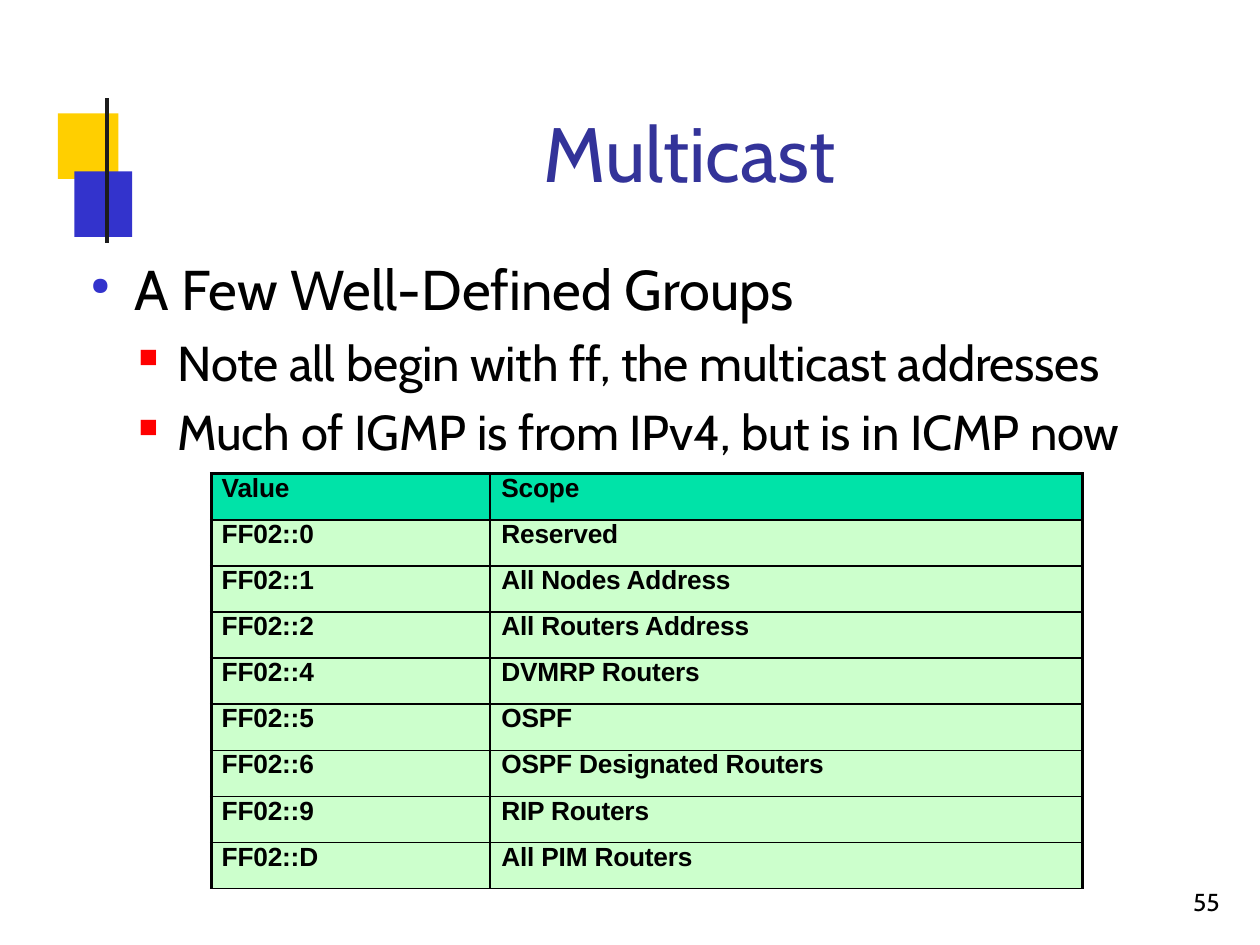
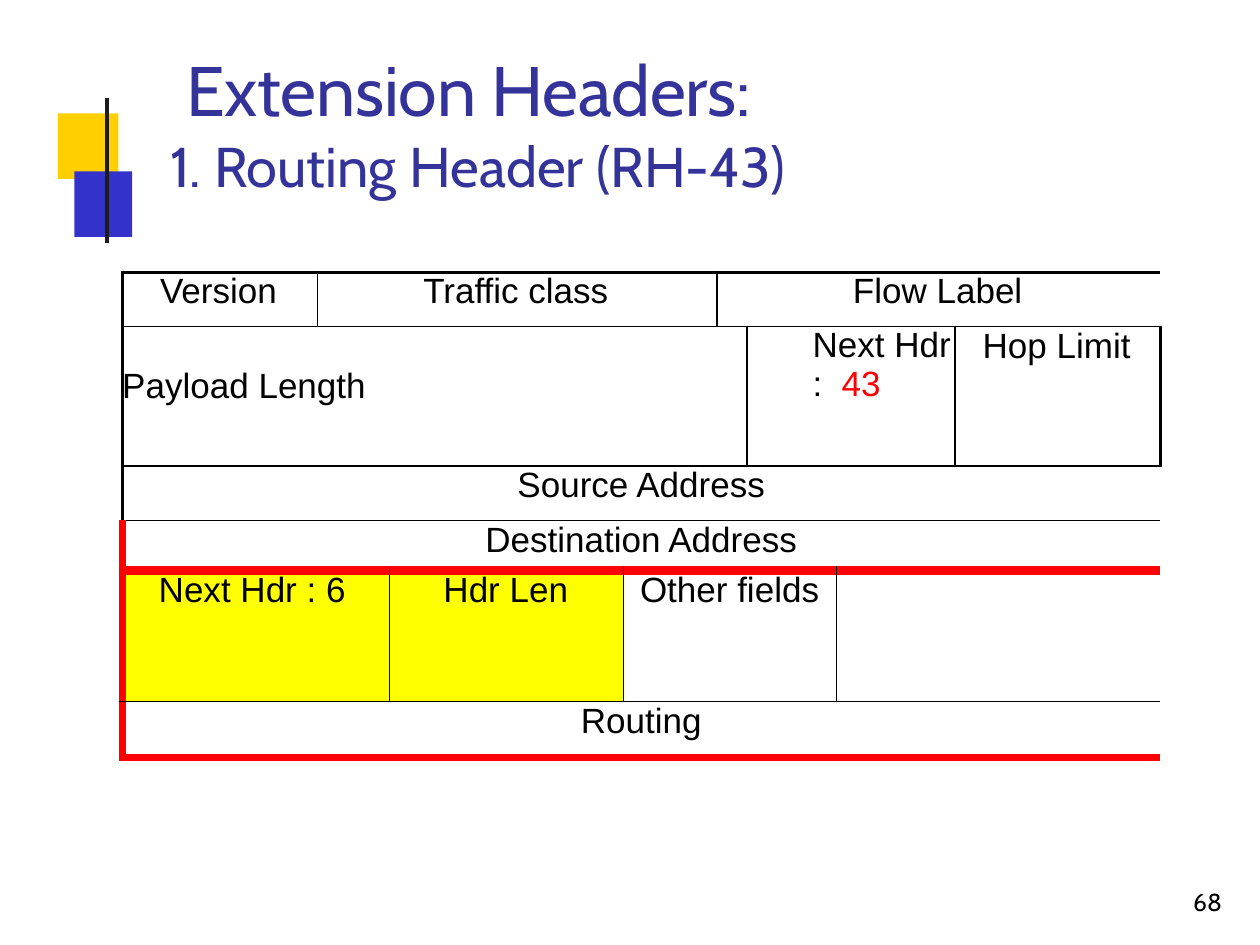
import dataclasses

import pptx
import pptx.dml.color
import pptx.enum.shapes
import pptx.enum.text
import pptx.oxml
import pptx.oxml.ns
import pptx.util

ALIGN = pptx.enum.text.PP_ALIGN


@dataclasses.dataclass(frozen=True)
class Theme:
    """Colours, fonts and type sizes of the deck."""
    yellow: str = "FFCF00"
    blue: str = "3333CC"
    title: str = "333399"
    bar: str = "1C1C1C"
    ink: str = "000000"
    red: str = "FF0000"
    header: str = "00E3A8"
    mint: str = "CCFFCC"
    highlight: str = "FFFF00"
    display_font: str = "Cabin"
    table_font: str = "Arial"
    title_size: int = 44
    long_title_size: int = 40
    heading_size: int = 32
    point_size: int = 28
    field_size: int = 20
    group_size: int = 15
    number_size: int = 14


THEME = Theme()
THIN = (THEME.ink, 1)
FRAME = (THEME.ink, 2.25)
PACKET = (THEME.ink, 2)
ROUTE = (THEME.red, 4.56)
ROUTE_TOP = (THEME.red, 6.02)


@dataclasses.dataclass
class Field:
    """One table field: its text, columns covered, insets in grid columns and format."""
    text: str = ""
    span: int = 1
    left: float = 0
    top: float = 0
    fill: str = None
    bottom_edge: bool = True
    align: object = ALIGN.LEFT


@dataclasses.dataclass
class Row:
    """One table row: its height in grid rows, its fields and its outer edges."""
    height: float
    fields: list
    side: tuple = THIN
    top: tuple = THIN
    bottom: tuple = THIN


def rgb(code):
    """Return the colour of a hex code."""
    return pptx.dml.color.RGBColor.from_string(code)


def add_xml(parent, markup):
    """Append one drawing element given as markup."""
    head, mark, tail = markup.partition(" " if " " in markup.split(">")[0] else ">")
    if mark == ">" and head.endswith("/"):
        head, mark = head[:-1], "/>"
    namespace = pptx.oxml.ns.nsdecls("a")
    parent.append(pptx.oxml.parse_xml(f"{head} {namespace}{mark}{tail}"))


def write(para, text, size, font=THEME.display_font, color=THEME.ink, bold=False,
          spacing=0, align=None, leading=None, before=None, margin=0, hanging=0,
          bullet=None):
    """Append text to a paragraph in the given format."""
    if align is not None:
        para.alignment = align
    if leading:
        para.line_spacing = pptx.util.Pt(leading)
    if before:
        para.space_before = pptx.util.Pt(before)
    if margin:
        settings = para._p.get_or_add_pPr()
        settings.set("marL", str(pptx.util.Inches(margin)))
        settings.set("indent", str(-pptx.util.Inches(hanging)))
    if bullet:
        sign, tint, percent = bullet
        add_xml(settings, f'<a:buClr><a:srgbClr val="{tint}"/></a:buClr>')
        add_xml(settings, f'<a:buSzPct val="{percent * 1000}"/>')
        add_xml(settings, f'<a:buChar char="{sign}"/>')
    span = para.add_run()
    span.text = text
    span.font.size = pptx.util.Pt(size)
    span.font.name = font
    span.font.bold = bold
    span.font.color.rgb = rgb(color)
    if spacing:
        span._r.get_or_add_rPr().set("spc", str(round(spacing * 100)))


def set_edges(cell, edges):
    """Draw the left, right, top and bottom edges of a cell."""
    settings = cell._tc.get_or_add_tcPr()
    for side, edge in zip("LRTB", edges):
        if edge:
            color, weight = edge
            width = pptx.util.Pt(weight)
            paint = f'<a:solidFill><a:srgbClr val="{color}"/></a:solidFill>'
        else:
            width, paint = 0, "<a:noFill/>"
        add_xml(settings, f'<a:ln{side} w="{width}">{paint}</a:ln{side}>')


class Page:
    """Builds slides on a grid of 100 columns and 75 rows."""

    def __init__(self, deck, theme):
        """Hold the deck and its theme."""
        self.deck, self.theme, self.slide = deck, theme, None

    def col(self, count):
        """Turn grid columns into a length."""
        return round(self.deck.slide_width * count / 100)

    def row(self, count):
        """Turn grid rows into a length."""
        return round(self.deck.slide_height * count / 75)

    def place(self, left, top, width, height):
        """Turn a grid area into lengths."""
        return self.col(left), self.row(top), self.col(width), self.row(height)

    def start(self, number):
        """Add a slide with the shared mark and its number."""
        self.slide = self.deck.slides.add_slide(self.deck.slide_layouts[6])
        self.square(self.theme.yellow, 4.6, 9, 4.8, 5.2)
        self.square(self.theme.blue, 5.9, 13.6, 4.6, 5.2)
        self.line(8.5, 7.8, 8.5, 19.3)
        write(self.text_box(92.4, 70.6, 4.7, 2.3).paragraphs[0], str(number),
              self.theme.number_size, leading=15.5, margin=0.23)

    def square(self, color, *area):
        """Add a plain filled rectangle."""
        kind = pptx.enum.shapes.MSO_SHAPE.RECTANGLE
        box = self.slide.shapes.add_shape(kind, *self.place(*area))
        box.shadow.inherit = False
        box.fill.solid()
        box.fill.fore_color.rgb = rgb(color)
        box.line.fill.background()

    def line(self, *ends):
        """Add a straight line."""
        kind = pptx.enum.shapes.MSO_CONNECTOR.STRAIGHT
        line = self.slide.shapes.add_connector(kind, *self.place(*ends))
        line.line.color.rgb = rgb(self.theme.bar)
        line.line.width = pptx.util.Pt(2.52)
        add_xml(line._element.spPr, "<a:effectLst/>")

    def text_box(self, *area):
        """Add a text box without insets and return its text frame."""
        frame = self.slide.shapes.add_textbox(*self.place(*area)).text_frame
        frame.word_wrap = True
        frame.margin_left = frame.margin_right = 0
        frame.margin_top = frame.margin_bottom = 0
        return frame

    def title(self, text, size, *area, **style):
        """Add a title line."""
        para = self.text_box(*area).paragraphs[0]
        write(para, text, size, color=self.theme.title, **style)

    def points(self, heading, details, *area):
        """Add a bulleted heading with details below it."""
        frame = self.text_box(*area)
        write(frame.paragraphs[0], heading, self.theme.heading_size, margin=0.37,
              hanging=0.35, bullet=("●", self.theme.blue, 44))
        for detail in details:
            para = frame.add_paragraph()
            para.level = 1
            write(para, detail, self.theme.point_size, spacing=-0.1, before=6,
                  margin=0.71, hanging=0.31, bullet=("■", self.theme.red, 54))

    def table(self, left, top, widths, rows, **style):
        """Add a table from rows of fields and return it."""
        area = self.place(left, top, sum(widths), sum(row.height for row in rows))
        table = self.slide.shapes.add_table(len(rows), len(widths), *area).table
        table.first_row = table.horz_banding = False
        for column, width in zip(table.columns, widths):
            column.width = self.col(width)
        for index, row in enumerate(rows):
            table.rows[index].height = self.row(row.height)
            start = 0
            for field in row.fields:
                self.field(table, index, start, row, field, style)
                start += field.span
        return table

    def field(self, table, index, start, row, field, style):
        """Fill one field, merged over the columns it covers."""
        last = start + field.span - 1
        end = len(table.columns) - 1
        for place in range(start, last + 1):
            cell = table.cell(index, place)
            first_edge = row.side if place == 0 else THIN
            last_edge = row.side if place == end else THIN
            set_edges(cell, (first_edge if place == start else None,
                             last_edge if place == last else None,
                             row.top, row.bottom if field.bottom_edge else None))
            if field.fill:
                cell.fill.solid()
                cell.fill.fore_color.rgb = rgb(field.fill)
            else:
                cell.fill.background()
            cell.margin_left, cell.margin_top = self.col(field.left), self.row(field.top)
            cell.margin_right = cell.margin_bottom = 0
        cell = table.cell(index, start)
        if field.span > 1:
            cell.merge(table.cell(index, last))
        if field.text:
            write(cell.text_frame.paragraphs[0], field.text, align=field.align, **style)


def multicast(page):
    """Build the slide on multicast groups."""
    theme = page.theme
    page.start(55)
    page.title("Multicast", theme.title_size, 4.2, 8.4, 91.7, 7.3,
               align=ALIGN.CENTER, leading=52.5, margin=0.94)
    page.points("A Few Well-Defined Groups",
                ["Note all begin with ff, the multicast addresses",
                 "Much of IGMP is from IPv4, but is in ICMP now"], 7, 20.2, 87.9, 16.4)
    groups = [("Value", "Scope"), ("FF02::0", "Reserved"),
              ("FF02::1", "All Nodes Address"), ("FF02::2", "All Routers Address"),
              ("FF02::4", "DVMRP Routers"), ("FF02::5", "OSPF"),
              ("FF02::6", "OSPF Designated Routers"), ("FF02::9", "RIP Routers"),
              ("FF02::D", "All PIM Routers")]
    rows = []
    for value, scope in groups:
        fill = theme.mint if rows else theme.header
        fields = [Field(value, left=0.8, fill=fill), Field(scope, left=0.9, fill=fill)]
        rows.append(Row(3.66, fields, side=FRAME, top=THIN if rows else FRAME))
    page.table(16.8, 37.6, [22.1, 47], rows, size=theme.group_size,
               font=theme.table_font, bold=True, spacing=-0.1)


def routing_header(page):
    """Build the slide on the routing extension header."""
    theme = page.theme
    page.start(68)
    page.title("Extension Headers:", theme.long_title_size, 13.4, 3.7, 47.6, 6.6,
               align=ALIGN.CENTER, leading=47.9, spacing=-0.1)
    page.title("1. Routing Header (RH-43)", theme.heading_size, 13.4, 10.4, 53.1, 5.3,
               margin=0.01)
    rows = [
        Row(4.3, [Field("Version", left=3), Field("Traffic class", 3, 8.4),
                  Field("Flow Label", 4, 10.8)], side=PACKET, top=PACKET),
        Row(11.1, [Field("Payload Length", 5, top=3.2), Field("Next Hdr :", 2, 5.2),
                   Field("Hop Limit", left=2.2)], side=PACKET),
        Row(4.3, [Field("Source Address", 8, align=ALIGN.CENTER)], side=PACKET),
        Row(4, [Field("Destination Address", 8, align=ALIGN.CENTER)],
            side=ROUTE, bottom=ROUTE_TOP),
        Row(10.4, [Field("Next Hdr : 6", 2, 2.9, fill=theme.highlight),
                   Field("Hdr Len", left=4.3, fill=theme.highlight),
                   Field("Other fields", 3, 1.3), Field(span=2, bottom_edge=False)],
            side=ROUTE, top=ROUTE_TOP),
        Row(4.4, [Field("Routing", 8, align=ALIGN.CENTER)],
            side=ROUTE, top=None, bottom=ROUTE),
    ]
    style = {"size": theme.field_size, "font": theme.table_font}
    widths = [15.5, 5.7, 18.6, 7.4, 2.4, 7.1, 9.4, 16.3]
    table = page.table(9.7, 21.6, widths, rows, **style)
    next_header = table.cell(1, 5).text_frame.paragraphs[0]
    write(next_header, " ", spacing=5.5, leading=22.2, **style)
    write(next_header, "43", color=theme.red, **style)


def main():
    """Build and save the deck."""
    deck = pptx.Presentation()
    deck.slide_width = pptx.util.Inches(10)
    deck.slide_height = pptx.util.Inches(7.5)
    page = Page(deck, THEME)
    multicast(page)
    routing_header(page)
    deck.save("out.pptx")


if __name__ == "__main__":
    main()
